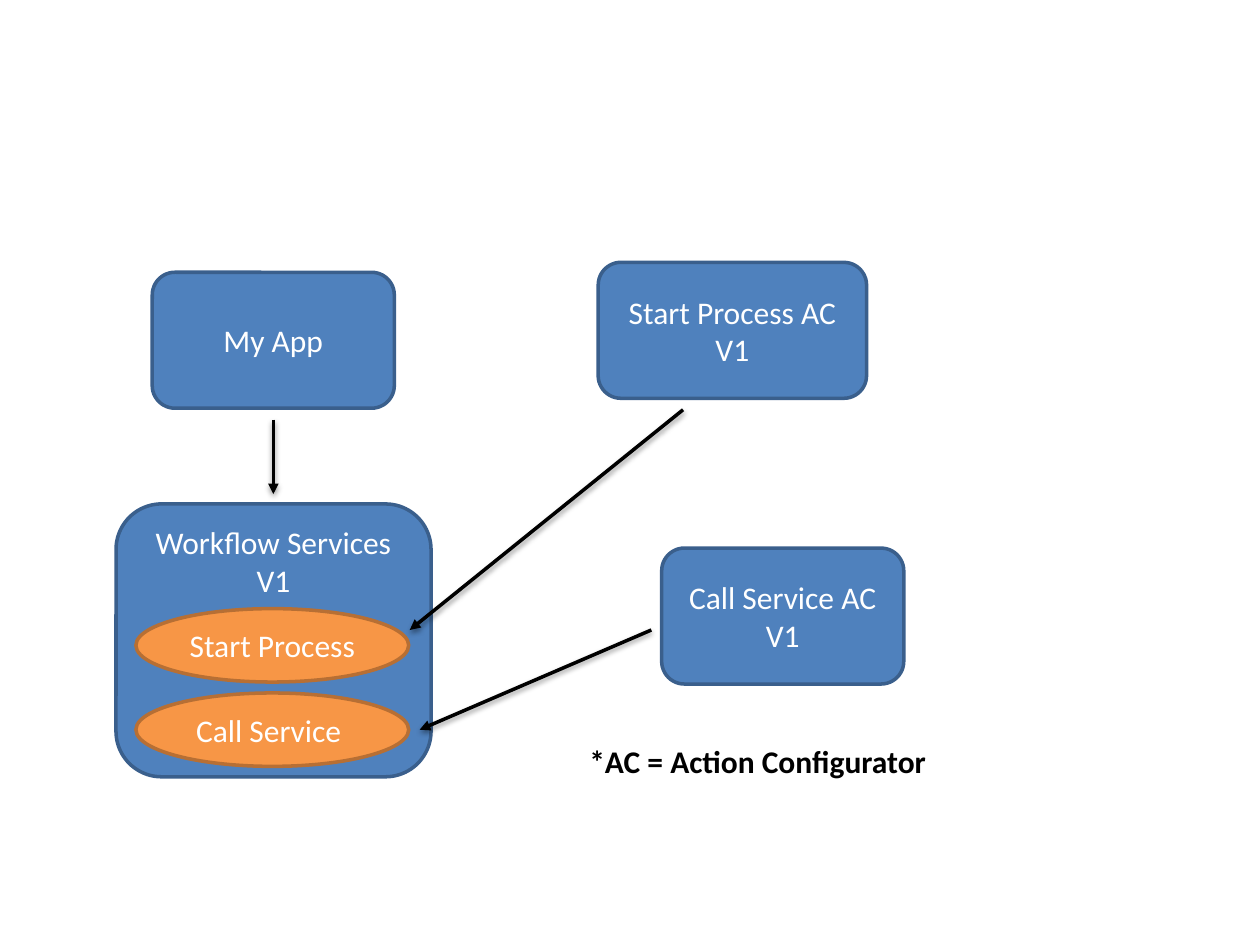
from lxml import etree
from pptx import Presentation
from pptx.dml.color import RGBColor
from pptx.enum.shapes import MSO_CONNECTOR, MSO_SHAPE
from pptx.enum.text import MSO_ANCHOR, PP_ALIGN
from pptx.oxml import parse_xml
from pptx.oxml.ns import qn
from pptx.util import Cm, Pt

ROUND, OVAL = MSO_SHAPE.ROUNDED_RECTANGLE, MSO_SHAPE.OVAL
LINE = MSO_CONNECTOR.STRAIGHT
TOP, MID = MSO_ANCHOR.TOP, MSO_ANCHOR.MIDDLE
LEFT, CENTER = PP_ALIGN.LEFT, PP_ALIGN.CENTER
BLUE, ORANGE = ("4F81BD", "3A5F8C"), ("F79646", "B76F34")
WHITE, BLACK = "FFFFFF", "000000"
FONT = {"name": "Calibri", "size": Pt(18)}
SHADOW = (
    '<a:effectLst xmlns:a="http://schemas.openxmlformats.org/drawingml/2006/main">'
    '<a:outerShdw blurRad="40000" dist="20000" dir="5400000" rotWithShape="0">'
    '<a:srgbClr val="000000"><a:alpha val="38000"/></a:srgbClr>'
    '</a:outerShdw></a:effectLst>'
)


def rgb(code):
    """Turn a hex string into a colour."""
    return RGBColor.from_string(code)


def write(frame, lines, color, align=CENTER, anchor=MID, bold=False):
    """Fill a text frame with one paragraph for each line."""
    frame.word_wrap = True
    frame.vertical_anchor = anchor
    for i, line in enumerate(lines):
        para = frame.add_paragraph() if i else frame.paragraphs[0]
        para.alignment = align
        run = para.add_run()
        run.text = line
        for key, value in {**FONT, "bold": bold}.items():
            setattr(run.font, key, value)
        run.font.color.rgb = rgb(color)


def node(slide, box, lines, kind=ROUND, tint=BLUE, anchor=MID):
    """Draw a filled shape with its label in the box."""
    shape = slide.shapes.add_shape(kind, *map(Cm, box))
    shape.shadow.inherit = False
    fill, edge = tint
    shape.fill.solid()
    shape.fill.fore_color.rgb = rgb(fill)
    shape.line.color.rgb = rgb(edge)
    shape.line.width = Pt(2)
    write(shape.text_frame, lines, WHITE, anchor=anchor)


def arrow(slide, start, end):
    """Draw a shadowed arrow that points at end."""
    link = slide.shapes.add_connector(LINE, *map(Cm, start + end))
    link.line.color.rgb = rgb(BLACK)
    link.line.width = Pt(2)
    etree.SubElement(link.line._get_or_add_ln(), qn("a:tailEnd"), type="triangle")
    link._element.spPr.append(parse_xml(SHADOW))


def flow(slide, box):
    """Draw the workflow block with its stack of services."""
    x, y, w, h = box
    node(slide, box, ["Workflow Services", "V1"], anchor=TOP)
    for i, name in enumerate(["Start Process", "Call Service "]):
        oval = (x + 0.4, y + 2.11 + 1.7 * i, w - 0.85, 1.48)
        node(slide, oval, [name], OVAL, ORANGE)


def note(slide, box, text):
    """Write the bold footnote in the box."""
    frame = slide.shapes.add_textbox(*map(Cm, box)).text_frame
    write(frame, [text], BLACK, LEFT, TOP, True)


def main():
    """Build the slide and save it."""
    deck = Presentation()
    deck.slide_width, deck.slide_height = Cm(25.4), Cm(19.05)
    slide = deck.slides.add_slide(deck.slide_layouts[6])
    node(slide, (3.07, 5.49, 4.88, 2.74), ["My App"])
    flow(slide, (2.34, 10.16, 6.35, 5.5))
    node(slide, (12.06, 5.29, 5.41, 2.74), ["Start Process AC", "V1"])
    node(slide, (13.34, 11.05, 4.88, 2.74), ["Call Service AC", "V1"])
    for start, end in [
        ((5.51, 8.46), (5.51, 9.96)),
        ((13.77, 8.26), (8.26, 12.7)),
        ((13.13, 12.7), (8.46, 14.71)),
    ]:
        arrow(slide, start, end)
    note(slide, (11.63, 14.83, 23.06, 1.24), "*AC = Action Configurator")
    deck.save("out.pptx")


main()
